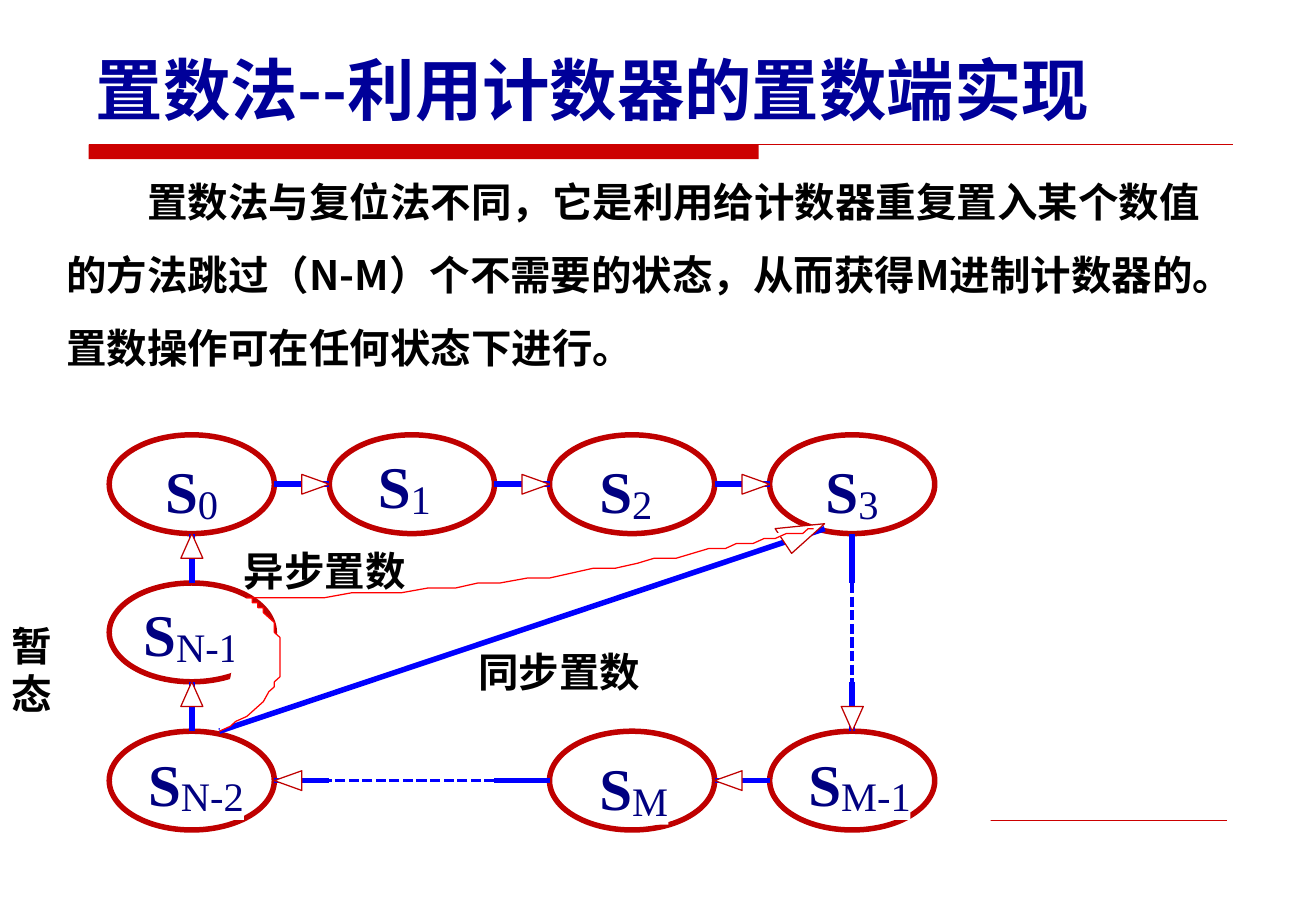
from pptx import Presentation
from pptx.dml.color import RGBColor
from pptx.enum.dml import MSO_LINE
from pptx.enum.shapes import MSO_CONNECTOR, MSO_SHAPE
from pptx.enum.text import MSO_ANCHOR, PP_ALIGN
from pptx.oxml.ns import qn
from pptx.util import Inches, Pt
from lxml import etree

RECT, OVAL = MSO_SHAPE.RECTANGLE, MSO_SHAPE.OVAL
STRAIGHT, DOTTED = MSO_CONNECTOR.STRAIGHT, MSO_LINE.SQUARE_DOT
TOP, BOTTOM, LEFT = MSO_ANCHOR.TOP, MSO_ANCHOR.BOTTOM, PP_ALIGN.LEFT
CJK, SERIF, SANS = "Noto Sans CJK SC", "Times New Roman", "Lato"
COLORS = {"title": "000099", "text": "000000", "state": "000080", "ring": "BF0000",
          "link": "0000FF", "curve": "FF0000", "rule": "CC0000", "paper": "FFFFFF"}

# Content
TITLE = "置数法--利用计数器的置数端实现"
BODY = ("置数法与复位法不同，它是利用给计数器重复置入某个数值的方法跳过（N-M）个不需要的状态，"
        "从而获得M进制计数器的。置数操作可在任何状态下进行。")
SYNC, ASYNC, TRANSIENT = "同步置数", "异步置数", "暂态"

# States: subscript, column, row, label offset and subscript width in inches
STATES = [("0", 0, 0, 0.46, 0.16, 0.17), ("1", 1, 0, 0.4, 0.12, 0.17),
          ("2", 2, 0, 0.41, 0.16, 0.17), ("3", 3, 0, 0.46, 0.16, 0.17),
          ("M-1", 3, 2, 0.32, 0.13, 0.57), ("M", 2, 2, 0.41, 0.17, 0.3),
          ("N-2", 0, 2, 0.32, 0.13, 0.52), ("N-1", 0, 1, 0.28, 0.12, 0.52)]

# Links in grid units: an oval is 3 by 2 units, the gaps are 1 unit
LINKS = [((3, 1), (4, 1)), ((7, 1), (8, 1)), ((11, 1), (12, 1)), ((11, 7), (12, 7)),
         ((13.5, 2), (13.5, 3)), ((13.5, 5), (13.5, 6)), ((1.5, 6), (1.5, 5)),
         ((1.5, 3), (1.5, 2)), ((3, 7), (4, 7)), ((7, 7), (8, 7))]
DOTTED_LINKS = [((13.5, 3), (13.5, 5)), ((7, 7), (4, 7))]
# Arrowheads: tip and direction
HEADS = [((4, 1), (1, 0)), ((8, 1), (1, 0)), ((12, 1), (1, 0)), ((1.5, 2), (0, -1)),
         ((11, 7), (-1, 0)), ((3, 7), (-1, 0)), ((1.5, 5), (0, -1)), ((13.5, 6), (0, 1))]
SYNC_LINK = ((2, 6), (13, 1.9))
SYNC_HEAD = [(12.1, 1.9), (12.4, 2.4), (13, 1.8)]
# Asynchronous load curves in tenths of a unit
LOOP = [(20, 60), (22, 59), (23, 58), (25, 57), (28, 54), (29, 52), (30, 51), (30, 50),
        (31, 49), (31, 41), (30, 40), (30, 38), (28, 36), (28, 35), (27, 35), (27, 34),
        (26, 34), (26, 33), (25, 33)]
SWEEP = [(25, 33), (39, 33), (44, 32), (53, 32), (58, 31), (63, 31), (67, 30), (71, 30),
         (76, 29), (80, 29), (84, 28), (88, 27), (92, 27), (96, 26), (99, 25), (103, 25),
         (106, 24), (109, 23), (112, 23), (114, 22), (117, 22), (119, 21), (121, 21),
         (123, 20), (126, 20), (127, 19), (128, 19)]

# Grid
X0, Y0 = 0.9, 3.58
UX, UY = (6.34 - X0) / 12, (6.02 - Y0) / 6

prs = Presentation()
prs.slide_width, prs.slide_height = Inches(10.84), Inches(7.5)
s = prs.slides.add_slide(prs.slide_layouts[6])


def rgb(name):
    return RGBColor.from_string(COLORS[name])


def at(gx, gy):
    return X0 + gx * UX, Y0 + gy * UY


def paint(sp, fill, line=None, width=0):
    sp.shadow.inherit = False
    sp.fill.solid()
    sp.fill.fore_color.rgb = rgb(fill)
    if line:
        sp.line.color.rgb = rgb(line)
        sp.line.width = Pt(width)
    else:
        sp.line.fill.background()


def shape(kind, box, fill, line=None, width=0):
    sp = s.shapes.add_shape(kind, *map(Inches, box))
    paint(sp, fill, line, width)
    return sp


def line(start, end, color, width, dash=None):
    c = s.shapes.add_connector(STRAIGHT, *map(Inches, (*start, *end)))
    c.line.color.rgb = rgb(color)
    c.line.width = Pt(width)
    if dash:
        c.line.dash_style = dash
    etree.SubElement(c._element.spPr, qn("a:effectLst"))


def outline(points, color, close):
    (x, y), *rest = [tuple(map(Inches, at(*pt))) for pt in points]
    fb = s.shapes.build_freeform(x, y)
    fb.add_line_segments(rest, close=close)
    paint(fb.convert_to_shape(), "paper", color)


def write(sp, text, size, font, color, bold=True, inset=(0.1, 0.05), wrap=False,
          anchor=TOP, spacing=None, indent=0):
    tf = sp.text_frame
    tf.word_wrap, tf.vertical_anchor = wrap, anchor
    tf.margin_left = tf.margin_right = Inches(inset[0])
    tf.margin_top = tf.margin_bottom = Inches(inset[1])
    p = tf.paragraphs[0]
    p.alignment = LEFT
    if spacing:
        p.line_spacing = spacing
    if indent:
        p._p.get_or_add_pPr().set("indent", str(Pt(indent)))
    r = p.add_run()
    r.text = text
    r.font.size, r.font.bold, r.font.name = Pt(size), bold, font
    r.font.color.rgb = rgb(color)
    etree.SubElement(r._r.get_or_add_rPr(), qn("a:ea")).set("typeface", CJK)


def text_box(box, *args, **kwargs):
    write(s.shapes.add_textbox(*map(Inches, box)), *args, **kwargs)


def label(box, *args):
    write(shape(RECT, box, "paper"), *args, inset=(0, 0))


# Heading and rules
shape(RECT, (0.73, 1.19, 5.52, 0.12), "rule")
line((0.73, 1.19), (10.16, 1.19), "rule", 0.75)
line((0.72, 6.75), (10.11, 6.75), "rule", 0.25)
text_box((0.69, 0.32, 9.36, 0.79), TITLE, 40, CJK, "title", wrap=True, anchor=BOTTOM)
text_box((0.45, 1.21, 9.64, 1.9), BODY, 24, CJK, "text", wrap=True, spacing=1.5, indent=48)

# State ovals and their names
shape(RECT, (0.45, 3.17, 7.71, 4.07), "paper")
for sub, col, row, dx, dy, width in STATES:
    x, y = at(col * 4, row * 3)
    shape(OVAL, (x, y, 3 * UX, 2 * UY), "paper", "ring", 3.25)
    label((x + dx, y + dy, 0.27, 0.58), "S", 35, SERIF, "state")
    label((x + dx + 0.27, y + dy + 0.2, width, 0.4), sub, 24, SERIF, "state", False)

# Links between states
for start, end in LINKS:
    line(at(*start), at(*end), "link", 3.25)
for start, end in DOTTED_LINKS:
    line(at(*start), at(*end), "link", 0, DOTTED)
for (x, y), (dx, dy) in HEADS:
    bx, by = x - dx / 2, y - dy / 2
    outline([(bx - dy / 5, by - dx / 5), (bx + dy / 5, by + dx / 5), (x, y)], "ring", True)

# Synchronous and asynchronous load
label((3.94, 5.33, 1.33, 0.4), SYNC, 24, SERIF, "text")
line(*[at(*pt) for pt in SYNC_LINK], "link", 3.25)
outline(SYNC_HEAD, "ring", True)
for curve in (LOOP, SWEEP):
    outline([(x / 10, y / 10) for x, y in curve], "curve", False)
text_box((0, 5.06, 0.86, 0.5), TRANSIENT, 24, SERIF, "text")
text_box((1.91, 4.45, 1.8, 0.5), ASYNC, 24, SANS, "text", wrap=True)

prs.save("out.pptx")
